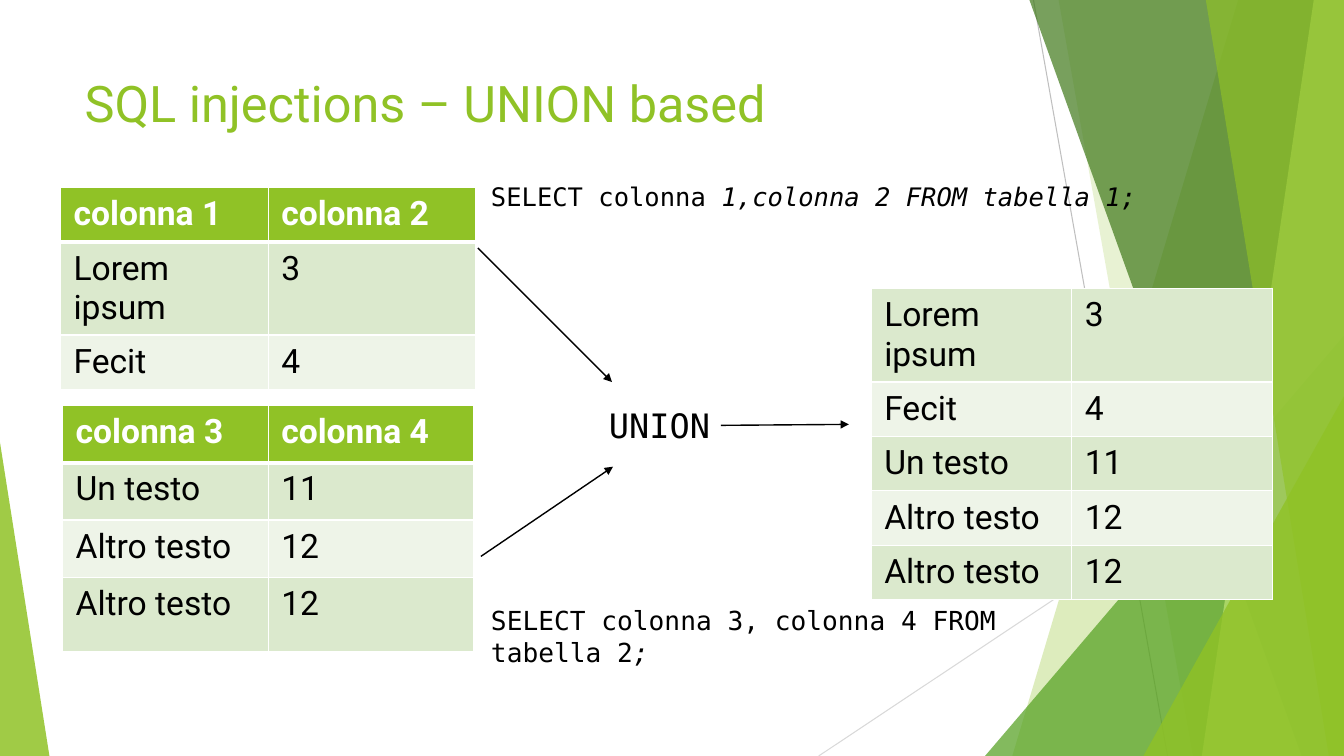
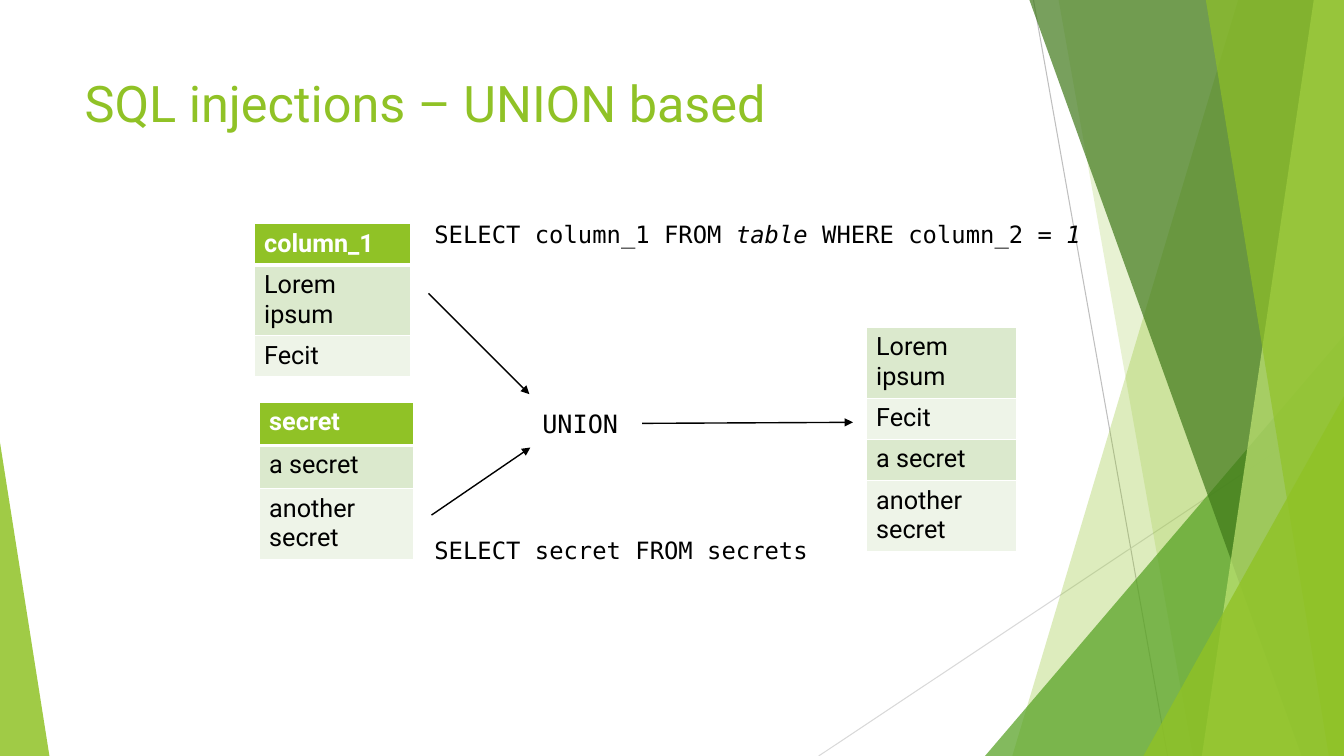
"""Build two slides that explain UNION based SQL injections."""
from lxml import etree
from pptx import Presentation
from pptx.dml.color import RGBColor
from pptx.enum.shapes import MSO_CONNECTOR, MSO_SHAPE
from pptx.enum.text import MSO_ANCHOR, MSO_AUTO_SIZE, PP_ALIGN
from pptx.oxml.ns import qn
from pptx.util import Inches, Pt

STRAIGHT = MSO_CONNECTOR.STRAIGHT
TRIANGLE = MSO_SHAPE.ISOSCELES_TRIANGLE
TOP = MSO_ANCHOR.TOP
NO_AUTOFIT = MSO_AUTO_SIZE.NONE
LEFT = PP_ALIGN.LEFT

WIDTH, HEIGHT = 13.33, 7.5
SANS, MONO = "Roboto", "DejaVu Sans Mono"
GREEN, BLACK, WHITE = "90C226", "000000", "FFFFFF"
ROW_FILLS = ("DBE9CD", "EEF4E8")
TITLE = "SQL injections – UNION based"
TITLE_BOX = (0.74, 0.67, 9.4, 1.44)

HAIRLINES = [
    ((10.25, 0), (11.58, HEIGHT), "BFBFBF"),
    ((WIDTH, 4.03), (8.12, HEIGHT), "D9D9D9"),
]
BANDS = [
    ("band", (12.28, 10.04), GREEN, 30),
    ("band", (10.5, 11.83), GREEN, 20),
    ("triangle", (9.77, 3.33, 3.56, 1), "54A021", 72),
    ("band", (10.21, 12.91), "3F7819", 70),
    ("band", (13.03, 11.92), "C0E474", 70),
    ("band", (11.96, 13.18), GREEN, 65),
    ("triangle", (11.34, 3.93, 1.99, 1), GREEN, 80),
    ("triangle", (0, 4.39, 0.49, 0), GREEN, 85),
]

SLIDES = [
    {
        "size": 24,
        "insets": (0.13, 0.07),
        "first": [("colonna 1", "colonna 2"), ("Lorem ipsum", "3"), ("Fecit", "4")],
        "second": [("colonna 3", "colonna 4"), ("Un testo", "11"),
                   ("Altro testo", "12"), ("Altro testo", "12")],
        "places": {
            "first": (0.6, 1.86, 2.06, (0.54, 0.92, 0.54)),
            "second": (0.62, 4.02, 2.04, (0.57, 0.57, 0.57, 0.74)),
            "result": (8.64, 2.86, 1.99, (0.93, 0.54, 0.54, 0.54, 0.54)),
        },
        "queries": [
            ((4.74, 1.73, 6.74, 0.76), 18.2,
             [("SELECT colonna", False), (" 1,colonna 2 FROM tabella 1;", True)]),
            ((4.74, 5.93, 5.76, 1.17), 18.7,
             [("SELECT colonna 3, colonna 4 FROM tabella 2", False), (";", True)]),
        ],
        "union": (5.91, 3.95, 1.31, 0.54),
        "arrows": [((4.74, 2.46), (6.07, 3.79)), ((4.77, 5.52), (6.08, 4.63)),
                   ((7.15, 4.22), (8.42, 4.21))],
    },
    {
        "size": 18,
        "insets": (0.1, 0.05),
        "first": [("column_1",), ("Lorem ipsum",), ("Fecit",)],
        "second": [("secret",), ("a secret",), ("another secret",)],
        "places": {
            "first": (2.52, 2.22, 1.55, (0.41, 0.7, 0.41)),
            "second": (2.57, 3.99, 1.53, (0.43, 0.43, 0.7)),
            "result": (8.59, 3.25, 1.49, (0.7, 0.41, 0.41, 0.7)),
        },
        "queries": [
            ((4.21, 2.13, 7.06, 0.67), 17,
             [("SELECT column_1 FROM ", False), ("table ", True),
              ("WHERE column_2 = ", False), ("1", True)]),
            ((4.21, 5.27, 4.32, 0.67), 17, [("SELECT secret FROM secrets", False)]),
        ],
        "union": (5.28, 4, 0.98, 0.4),
        "arrows": [((4.25, 2.91), (5.25, 3.91)), ((4.28, 5.11), (5.26, 4.44)),
                   ((6.37, 4.2), (8.46, 4.19))],
    },
]


def rgb(value):
    return RGBColor.from_string(value)


def inches(values):
    return [Inches(value) for value in values]


def style(run, font, size, color, bold=False, italic=False):
    run.font.name = font
    run.font.size = Pt(size)
    run.font.color.rgb = rgb(color)
    run.font.bold = bold
    run.font.italic = italic


def set_insets(holder, insets):
    holder.margin_left = holder.margin_right = Inches(insets[0])
    holder.margin_top = holder.margin_bottom = Inches(insets[1])


def add_line(slide, start, end, color, width, arrow=False):
    line = slide.shapes.add_connector(STRAIGHT, *inches(start + end))
    line.line.color.rgb = rgb(color)
    line.line.width = Pt(width)
    properties = line._element.spPr
    if arrow:
        etree.SubElement(properties.find(qn("a:ln")), qn("a:tailEnd"), type="triangle")
    etree.SubElement(properties, qn("a:effectLst"))
    return line


def add_band(slide, kind, place, color, opacity):
    if kind == "band":
        top_x, bottom_x = place
        corners = [(top_x, 0), (WIDTH, 0), (WIDTH, HEIGHT), (bottom_x, HEIGHT)]
        points = [inches(corner) for corner in corners]
        outline = slide.shapes.build_freeform(*points[0])
        outline.add_line_segments(points[1:], close=True)
        band = outline.convert_to_shape()
    else:
        left, top, width, apex = place
        band = slide.shapes.add_shape(TRIANGLE, *inches((left, top, width, HEIGHT - top)))
        band.adjustments[0] = apex
    band.fill.solid()
    band.fill.fore_color.rgb = rgb(color)
    tint = band._element.spPr.find(".//" + qn("a:srgbClr"))
    etree.SubElement(tint, qn("a:alpha"), val=str(opacity * 1000))
    band.line.fill.background()
    band.shadow.inherit = False
    return band


def prepare_layout(layout):
    for placeholder in list(layout.placeholders):
        if placeholder.placeholder_format.idx:
            placeholder._element.getparent().remove(placeholder._element)
    heading = layout.placeholders[0]
    heading.left, heading.top, heading.width, heading.height = inches(TITLE_BOX)
    heading.text_frame.vertical_anchor = TOP


def decorate_layout(layout, slide):
    backdrop = [add_line(slide, *hairline, 0.75) for hairline in HAIRLINES]
    backdrop += [add_band(slide, *band) for band in BANDS]
    for position, part in enumerate(backdrop, start=2):
        layout.shapes._spTree.insert(position, part._element)


def add_title(slide):
    frame = slide.shapes.title.text_frame
    frame.text = TITLE
    frame.auto_size = NO_AUTOFIT
    frame.paragraphs[0].alignment = LEFT
    style(frame.paragraphs[0].runs[0], SANS, 36, GREEN)


def add_code(slide, place, size, parts, insets):
    frame = slide.shapes.add_textbox(*inches(place)).text_frame
    frame.word_wrap = True
    set_insets(frame, insets)
    for words, italic in parts:
        run = frame.paragraphs[0].add_run()
        run.text = words
        style(run, MONO, size, BLACK, italic=italic)


def set_borders(cell, top, bottom):
    properties = cell._tc.get_or_add_tcPr()
    widths = {"a:lnL": 1, "a:lnR": 1, "a:lnT": top, "a:lnB": bottom}
    for position, (side, width) in enumerate(widths.items()):
        border = etree.Element(qn(side), w=str(Pt(width)))
        fill = etree.SubElement(border, qn("a:solidFill"))
        etree.SubElement(fill, qn("a:srgbClr"), val=WHITE)
        properties.insert(position, border)


def add_grid(slide, rows, place, size, insets, header=True):
    left, top, column_width, heights = place
    columns = len(rows[0])
    box = inches((left, top, column_width * columns, sum(heights)))
    grid = slide.shapes.add_table(len(rows), columns, *box).table
    grid.first_row = header
    grid.horz_banding = False
    for column in grid.columns:
        column.width = Inches(column_width)
    for index, (values, height) in enumerate(zip(rows, heights)):
        grid.rows[index].height = Inches(height)
        is_header = header and index == 0
        below_header = header and index == 1
        for cell, value in zip(grid.rows[index].cells, values):
            cell.text = value
            set_insets(cell, insets)
            style(cell.text_frame.paragraphs[0].runs[0], SANS, size,
                  WHITE if is_header else BLACK, bold=is_header)
            cell.fill.solid()
            cell.fill.fore_color.rgb = rgb(GREEN if is_header else ROW_FILLS[(index - header) % 2])
            set_borders(cell, 3 if below_header else 1, 3 if is_header else 1)


def fill_slide(slide, content):
    size, insets, places = content["size"], content["insets"], content["places"]
    add_title(slide)
    for name in ("first", "second"):
        add_grid(slide, content[name], places[name], size, insets)
    union_rows = content["first"][1:] + content["second"][1:]
    add_grid(slide, union_rows, places["result"], size, insets, header=False)
    for place, query_size, parts in content["queries"]:
        add_code(slide, place, query_size, parts, insets)
    add_code(slide, content["union"], size, [("UNION", False)], insets)
    for start, end in content["arrows"]:
        add_line(slide, start, end, BLACK, 1, arrow=True)


def main():
    deck = Presentation()
    deck.slide_width, deck.slide_height = inches((WIDTH, HEIGHT))
    layout = deck.slide_layouts[5]
    prepare_layout(layout)
    slides = [deck.slides.add_slide(layout) for _ in SLIDES]
    decorate_layout(layout, slides[0])
    for slide, content in zip(slides, SLIDES):
        fill_slide(slide, content)
    deck.save("out.pptx")


if __name__ == "__main__":
    main()
